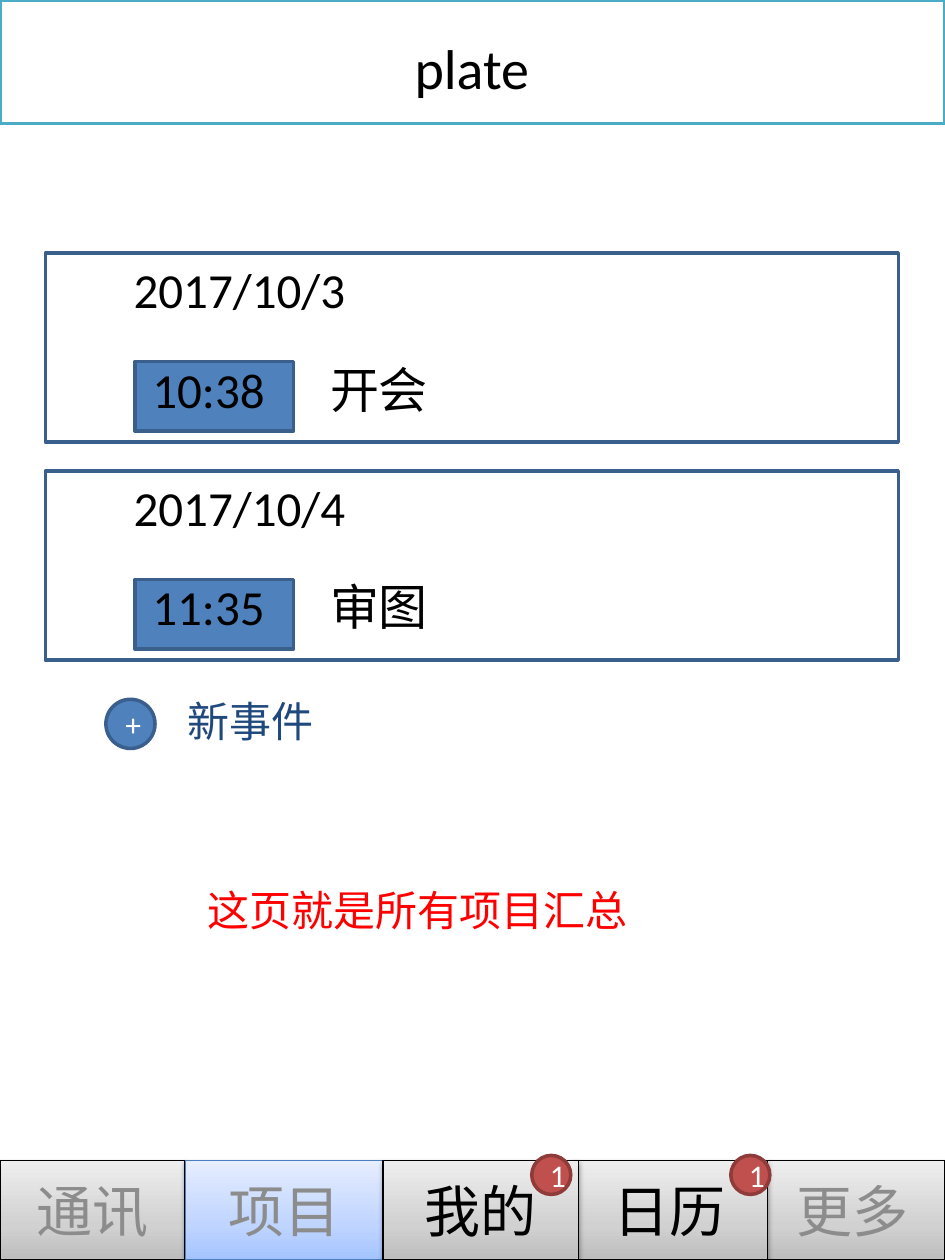
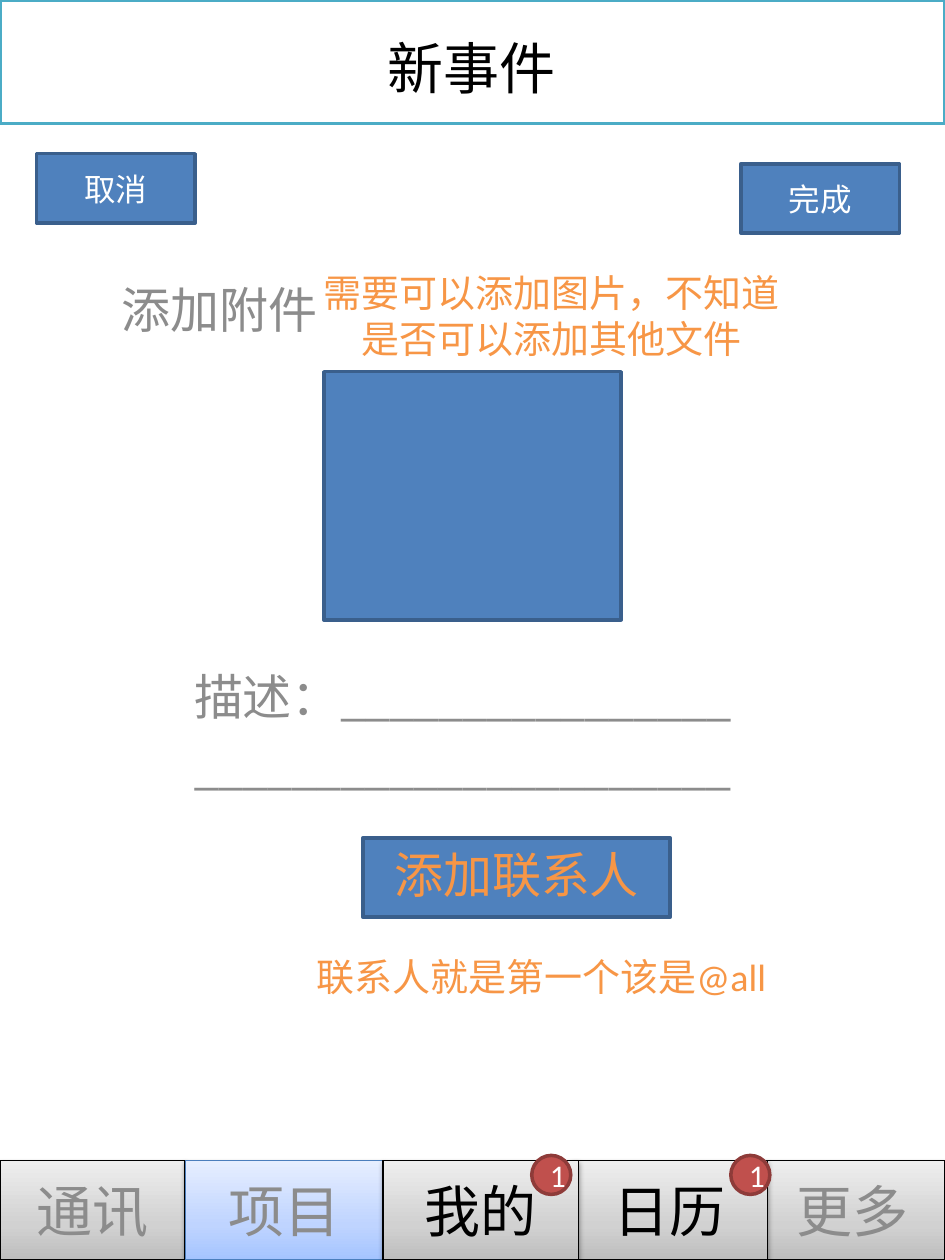
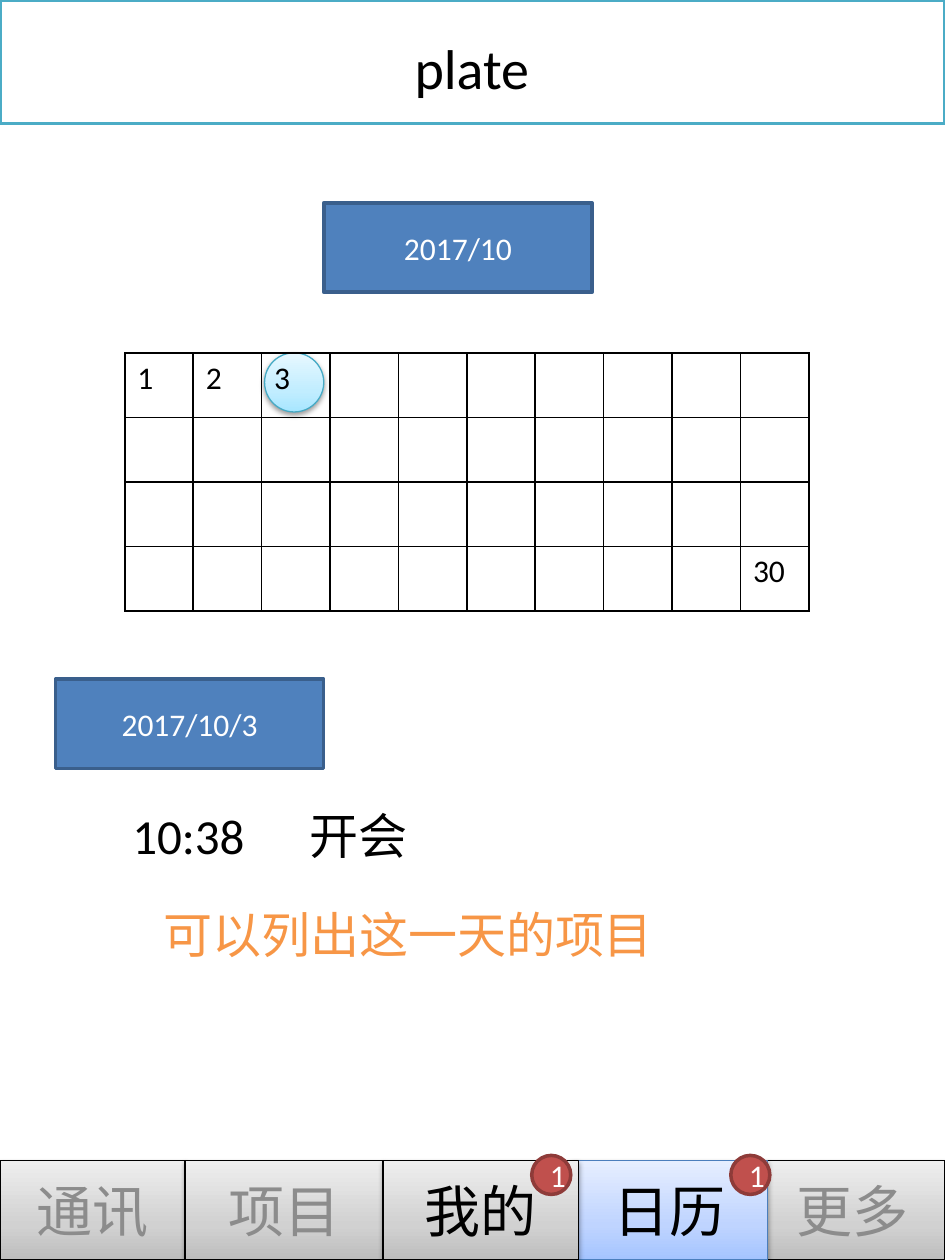
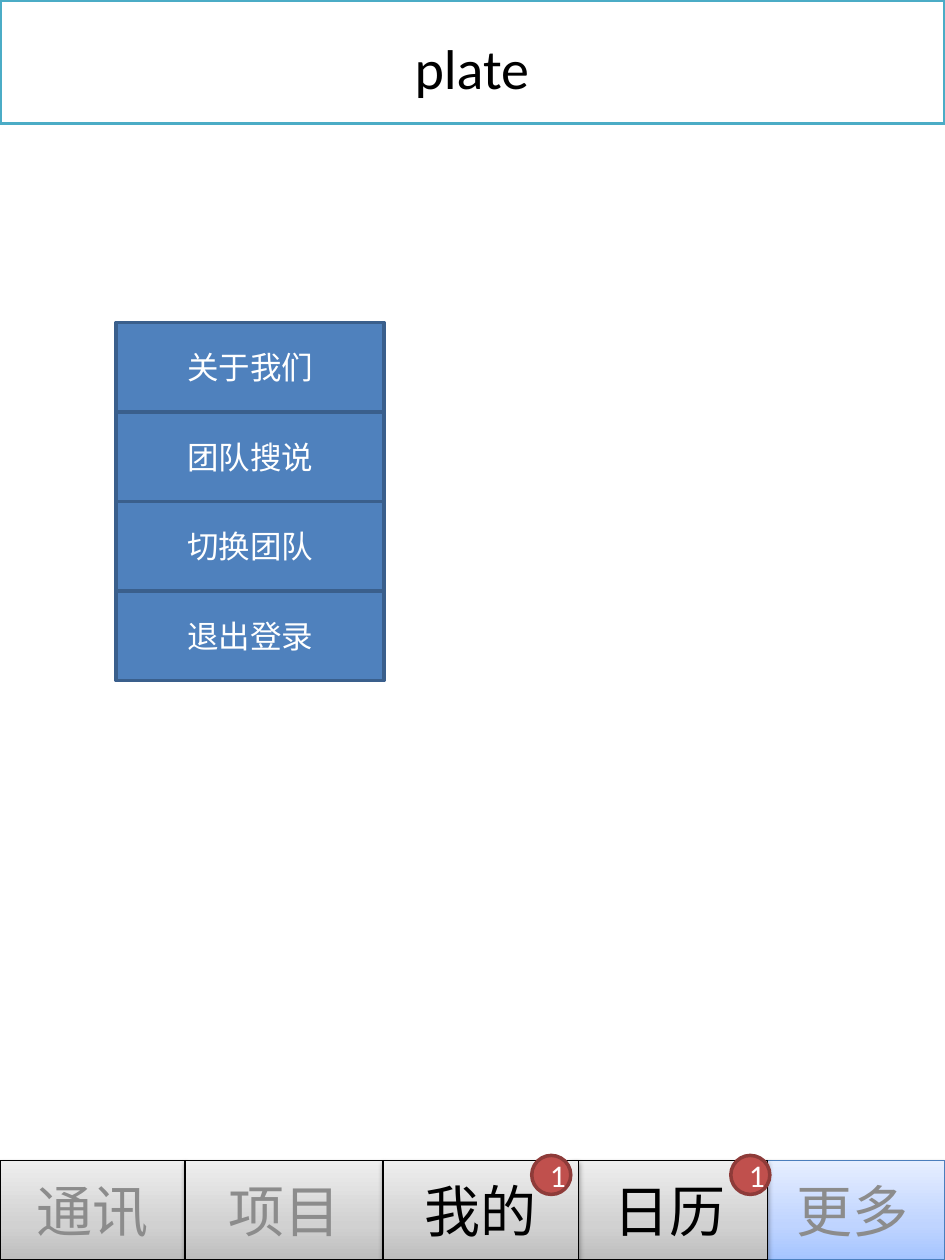
from dataclasses import dataclass
from typing import Optional

from lxml.etree import SubElement
from pptx import Presentation
from pptx.dml.color import RGBColor
from pptx.enum.shapes import MSO_SHAPE
from pptx.enum.text import MSO_ANCHOR, PP_ALIGN
from pptx.oxml.ns import qn
from pptx.util import Inches, Pt

# Shared style
FONT = "Calibri"
BLACK = RGBColor(0x00, 0x00, 0x00)
WHITE = RGBColor(0xFF, 0xFF, 0xFF)
GREY = RGBColor(0x8C, 0x8C, 0x8C)
RED = RGBColor(0xFF, 0x00, 0x00)
ORANGE = RGBColor(0xF7, 0x96, 0x46)
NAVY = RGBColor(0x1F, 0x49, 0x7D)
BLUE = RGBColor(0x4F, 0x81, 0xBD)
BLUE_EDGE = RGBColor(0x3A, 0x5F, 0x8C)
TEAL = RGBColor(0x4B, 0xAC, 0xC6)
BADGE = RGBColor(0xC0, 0x50, 0x4D)
BADGE_EDGE = RGBColor(0x8E, 0x3B, 0x39)
TAB_EDGE = RGBColor(0x4B, 0x7E, 0xBC)
DAY_EDGE = RGBColor(0x46, 0xAA, 0xC5)

# Gradient colours at 0, 35 and 100 percent, from the bottom up
GRADIENT_STOPS = (0, 35, 100)
GREY_GRADIENT = ("BDBDBD", "D1D1D1", "EEEEEE")
BLUE_GRADIENT = ("A4C4FF", "BFD4FF", "E6EEFF")
CYAN_GRADIENT = ("A7E6FF", "C1EDFF", "E7F8FF")

BUTTON_HEIGHT = 0.71
BUTTON_WIDTH = 2.13
CHIP = (1.26, 0.55)


@dataclass(frozen=True)
class Tab:
    label: str
    left: float
    width: float
    color: RGBColor = GREY
    badge_left: Optional[float] = None


@dataclass(frozen=True)
class Event:
    date: str
    time: str
    name: str


# Back to front: the middle tabs overlap the ones to their right
TABS = (
    Tab("更多", 6.03, 1.47),
    Tab("日历", 4.54, 1.55, BLACK, 5.8),
    Tab("通讯", 0, 1.47),
    Tab("项目", 1.47, 1.57),
    Tab("我的", 3.04, 1.55, BLACK, 4.22),
)
EVENTS = (Event("2017/10/3", "10:38", "开会"), Event("2017/10/4", "11:35", "审图"))
MENU = ("关于我们", "团队搜说", "切换团队", "退出登录")


# Text
def write(frame, text: str, *, size: float = 18, color: RGBColor = WHITE,
          align=PP_ALIGN.CENTER, before: int = 0, line_spacing: Optional[float] = None,
          hanging: float = 0, tab_stop: float = 0) -> None:
    """Fill a text frame, one paragraph per line of text."""
    for index, line in enumerate(text.split("\n")):
        para = frame.paragraphs[0] if index == 0 else frame.add_paragraph()
        para.alignment = align
        if line_spacing:
            para.line_spacing = line_spacing
        properties = para._p.get_or_add_pPr()
        if hanging:
            properties.set("marL", str(Inches(hanging)))
            properties.set("indent", str(-Inches(hanging)))
        if before:
            spacing = SubElement(properties, qn("a:spcBef"))
            SubElement(spacing, qn("a:spcPct"), val=str(before * 1000))
        if tab_stop:
            stops = SubElement(properties, qn("a:tabLst"))
            SubElement(stops, qn("a:tab"), pos=str(Inches(tab_stop)), algn="l")
        span = para.add_run()
        span.text = line
        span.font.name = FONT
        span.font.size = Pt(size)
        span.font.color.rgb = color


def add_label(page, text: str, left: float, top: float, width: float,
              height: float = BUTTON_HEIGHT, *, size: float = 28,
              color: RGBColor = BLACK, inset: float = 0.1, **style) -> None:
    box = page.shapes.add_textbox(Inches(left), Inches(top), Inches(width), Inches(height))
    box.text_frame.word_wrap = True
    box.text_frame.margin_left = Inches(inset)
    write(box.text_frame, text, size=size, color=color, before=20, **style)


def add_entry(page, event: Event, left: float, top: float) -> None:
    """Time and name of an event, set apart by a tab stop."""
    add_label(page, f"{event.time}\t{event.name}", left, top, 2.76,
              align=PP_ALIGN.LEFT, inset=0.29, tab_stop=1.41)


# Shapes
def add_box(page, left: float, top: float, width: float, height: float, text: str = "", *,
            kind=MSO_SHAPE.RECTANGLE, fill: RGBColor = BLUE, edge: RGBColor = BLUE_EDGE,
            edge_width: float = 2, gradient: Optional[tuple] = None, **style) -> None:
    """A flat box, or a gradient one with a soft shadow."""
    box = page.shapes.add_shape(kind, Inches(left), Inches(top), Inches(width), Inches(height))
    box.shadow.inherit = False
    box.line.color.rgb = edge
    box.line.width = Pt(edge_width)
    if gradient:
        apply_gradient(box, gradient)
        apply_shadow(box)
    else:
        box.fill.solid()
        box.fill.fore_color.rgb = fill
    if text:
        box.text_frame.vertical_anchor = MSO_ANCHOR.MIDDLE
        write(box.text_frame, text, **style)


def apply_gradient(box, colors: tuple) -> None:
    box.fill.gradient()
    box.fill.gradient_angle = 90
    stops = box._element.spPr.find(qn("a:gradFill")).find(qn("a:gsLst"))
    for stop in list(stops):
        stops.remove(stop)
    for position, color in zip(GRADIENT_STOPS, colors):
        stop = SubElement(stops, qn("a:gs"), pos=str(position * 1000))
        SubElement(stop, qn("a:srgbClr"), val=color)


def apply_shadow(box) -> None:
    effects = box._element.spPr.find(qn("a:effectLst"))
    shadow = SubElement(effects, qn("a:outerShdw"), blurRad=str(Pt(3.1)), dist=str(Pt(1.6)),
                        dir="5400000", rotWithShape="0")
    color = SubElement(shadow, qn("a:srgbClr"), val="000000")
    SubElement(color, qn("a:alpha"), val="38000")


# Frame common to all pages
def add_page(deck, title: str, active: str):
    page = deck.slides.add_slide(deck.slide_layouts[6])
    add_box(page, 0, 0, 7.5, 0.98, fill=WHITE, edge=TEAL)
    add_label(page, title, 1.62, 0.28, 4.25, 0.63, size=32, line_spacing=0.9, hanging=0.38)
    for tab in TABS:
        is_active = tab.label == active
        add_box(page, tab.left, 9.21, tab.width, 0.79, tab.label,
                gradient=BLUE_GRADIENT if is_active else GREY_GRADIENT,
                edge=TAB_EDGE if is_active else BLACK, edge_width=0.75,
                size=32, color=tab.color, before=20)
        if tab.badge_left is not None:
            add_box(page, tab.badge_left, 9.17, 0.31, 0.31, "1", kind=MSO_SHAPE.OVAL,
                    fill=BADGE, edge=BADGE_EDGE)
    return page


def add_calendar(page, left: float, top: float, days: dict) -> None:
    rows, columns = 4, 10
    table = page.shapes.add_table(rows, columns, Inches(left), Inches(top),
                                  Inches(5.43), Inches(2.05)).table
    table.first_row = False
    table.horz_banding = False
    for row in range(rows):
        for column in range(columns):
            cell = table.cell(row, column)
            properties = cell._tc.get_or_add_tcPr()
            for side in ("a:lnL", "a:lnR", "a:lnT", "a:lnB"):
                border = SubElement(properties, qn(side), w=str(Pt(1)))
                SubElement(SubElement(border, qn("a:solidFill")), qn("a:srgbClr"), val="000000")
            cell.fill.background()
            day = days.get((row, column))
            if day:
                write(cell.text_frame, day, color=BLACK, align=PP_ALIGN.LEFT)


# Pages
def build_projects(deck) -> None:
    page = add_page(deck, "plate", "项目")
    for index, event in enumerate(EVENTS):
        top = 2.01 + 1.73 * index
        add_box(page, 0.36, top, 6.77, 1.5, fill=WHITE)
        add_box(page, 1.07, top + 0.86, *CHIP)
        add_label(page, event.date, 0.52, top, 2.76)
        add_entry(page, event, 0.92, top + 0.79)
    add_box(page, 0.84, 5.55, 0.39, 0.39, "+", kind=MSO_SHAPE.OVAL)
    add_label(page, "新事件", 1.39, 5.47, 1.81, 0.63, size=24, color=NAVY,
              align=PP_ALIGN.LEFT, hanging=0.38)
    add_label(page, "这页就是所有项目汇总", 1.55, 6.97, 4.02, 1.43, size=24, color=RED,
              align=PP_ALIGN.LEFT, hanging=0.38)


def build_new_event(deck) -> None:
    page = add_page(deck, "新事件", "项目")
    add_box(page, 0.29, 1.22, *CHIP, "取消")
    add_box(page, 5.88, 1.3, *CHIP, "完成")
    add_label(page, "添加附件", 0.36, 2.17, 2.76, color=GREY)
    add_label(page, "需要可以添加图片，不知道是否可以添加其他文件", 2.33, 2.09, 4.09,
              size=21.7, color=ORANGE)
    add_box(page, 2.57, 2.95, 2.36, 1.97)
    add_label(page, "描述：" + "_" * 16 + "\n" + "_" * 22, 0.6, 5.24, 6.14, 1.73, color=GREY)
    add_box(page, 2.88, 6.65, 2.44, 0.63)
    add_label(page, "添加联系人", 2.33, 6.65, 3.54, color=ORANGE)
    add_label(page, "联系人就是第一个该是@all", 2.25, 7.52, 4.09, size=21.7, color=ORANGE)


def build_calendar(deck) -> None:
    page = add_page(deck, "plate", "日历")
    add_box(page, 2.57, 1.61, BUTTON_WIDTH, BUTTON_HEIGHT, "2017/10")
    add_box(page, 2.1, 2.8, 0.47, 0.47, kind=MSO_SHAPE.OVAL, gradient=CYAN_GRADIENT,
            edge=DAY_EDGE, edge_width=0.75)
    add_calendar(page, 0.99, 2.8, {(0, 0): "1", (0, 1): "2", (0, 2): "3", (3, 9): "30"})
    add_box(page, 0.44, 5.39, BUTTON_WIDTH, BUTTON_HEIGHT, EVENTS[0].date)
    add_entry(page, EVENTS[0], 0.76, 6.34)
    add_label(page, "可以列出这一天的项目", 0.6, 7.13, 5.28, color=ORANGE)


def build_more(deck) -> None:
    page = add_page(deck, "plate", "更多")
    for index, item in enumerate(MENU):
        add_box(page, 0.92, 2.56 + BUTTON_HEIGHT * index, BUTTON_WIDTH, BUTTON_HEIGHT, item)


deck = Presentation()
deck.slide_width = Inches(7.5)
deck.slide_height = Inches(10)
for build in (build_projects, build_new_event, build_calendar, build_more):
    build(deck)
deck.save("out.pptx")
